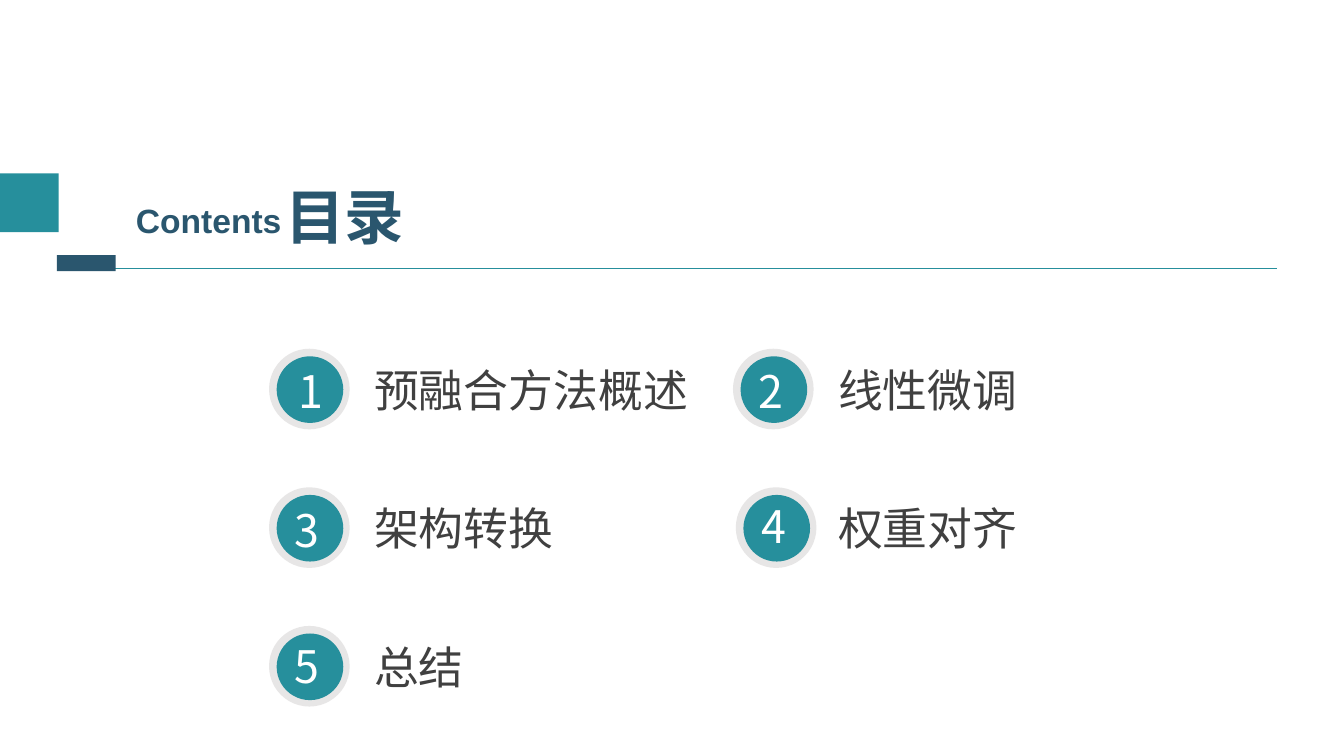
from dataclasses import dataclass

from lxml.etree import SubElement
from pptx import Presentation
from pptx.dml.color import RGBColor
from pptx.enum.shapes import MSO_CONNECTOR as Connector, MSO_SHAPE as Shape
from pptx.enum.text import MSO_AUTO_SIZE as AutoSize
from pptx.oxml.ns import qn
from pptx.util import Pt

TEAL, NAVY, GREY, INK, WHITE = "268F9C", "2A566E", "E7E6E6", "404040", "FFFFFF"
LATIN, CHINESE = "Arial", "Noto Sans CJK SC"
RING, DISC = 57.6, 47.6
COLUMN_LEFTS = (192.2, 523.6)
FIRST_TOP, ROW_PITCH = 249.1, 99
TITLE_INDENT, TITLE_DROP = 68, 6.3


@dataclass(frozen=True)
class Entry:
    title: str
    width: float
    badge_shift: float = 0
    digit_left: float = 11.2
    digit_top: float = 7.2


ENTRIES = (
    Entry("预融合方法概述", 252.7, digit_left=13.7),
    Entry("线性微调", 230.4),
    Entry("架构转换", 165.6),
    Entry("权重对齐", 230.4, badge_shift=2, digit_top=4.6),
    Entry("总结", 117.4, digit_top=5.9),
)


def color(code: str) -> RGBColor:
    return RGBColor.from_string(code)


def add_block(shapes, kind: Shape, left: float, top: float,
              width: float, height: float, fill: str) -> None:
    """Add a plain filled shape without outline."""
    block = shapes.add_shape(kind, Pt(left), Pt(top), Pt(width), Pt(height))
    block.shadow.inherit = False
    block.fill.solid()
    block.fill.fore_color.rgb = color(fill)
    block.line.fill.background()


def add_label(shapes, text: str, left: float, top: float, width: float, height: float,
              size: float, ink: str, font: str = CHINESE, bold: bool = False) -> None:
    box = shapes.add_textbox(Pt(left), Pt(top), Pt(width), Pt(height))
    frame = box.text_frame
    frame.word_wrap = True
    frame.auto_size = AutoSize.SHAPE_TO_FIT_TEXT
    frame.text = text
    span = frame.paragraphs[0].runs[0]
    span.font.size = Pt(size)
    span.font.bold = bold
    span.font.color.rgb = color(ink)
    span.font.name = font
    SubElement(span._r.get_or_add_rPr(), qn("a:ea"), typeface=font)


def add_rule(shapes, left: float, right: float, y: float) -> None:
    rule = shapes.add_connector(Connector.STRAIGHT, Pt(left), Pt(y), Pt(right), Pt(y))
    rule.line.color.rgb = color(TEAL)
    rule.line.width = Pt(0.75)
    SubElement(rule._element.spPr, qn("a:effectLst"))


def add_entry(shapes, index: int, entry: Entry) -> None:
    """Add a numbered badge and its title in the two-column grid."""
    row, column = divmod(index, len(COLUMN_LEFTS))
    left, top = COLUMN_LEFTS[column], FIRST_TOP + row * ROW_PITCH
    badge_left = left + entry.badge_shift
    inset = (RING - DISC) / 2
    badge = shapes.add_group_shape().shapes
    add_block(badge, Shape.OVAL, badge_left, top, RING, RING, GREY)
    add_block(badge, Shape.OVAL, badge_left + inset + 0.4, top + inset + 0.4, DISC, DISC, TEAL)
    add_label(badge, str(index + 1), badge_left + entry.digit_left, top + entry.digit_top,
              34.6, 46, 32, WHITE)
    add_label(shapes, entry.title, left + TITLE_INDENT, top + TITLE_DROP,
              entry.width, 46, 32, INK)


def main() -> None:
    deck = Presentation()
    deck.slide_width, deck.slide_height = Pt(960), Pt(540)
    page = deck.slides.add_slide(deck.slide_layouts[6])
    shapes = page.shapes

    add_rule(shapes, 42.5, 912.2, 191.5)
    add_label(shapes, "目录", 196.6, 124.6, 123, 59, 42.6, NAVY, bold=True)
    add_label(shapes, "Contents", 90, 139, 148.3, 36, 24, NAVY, LATIN, bold=True)
    add_block(shapes, Shape.RECTANGLE, 0, 123.8, 42, 42, TEAL)
    add_block(shapes, Shape.RECTANGLE, 40.6, 182.2, 42, 11.5, NAVY)
    for index, entry in enumerate(ENTRIES):
        add_entry(shapes, index, entry)

    deck.save("out.pptx")


if __name__ == "__main__":
    main()
